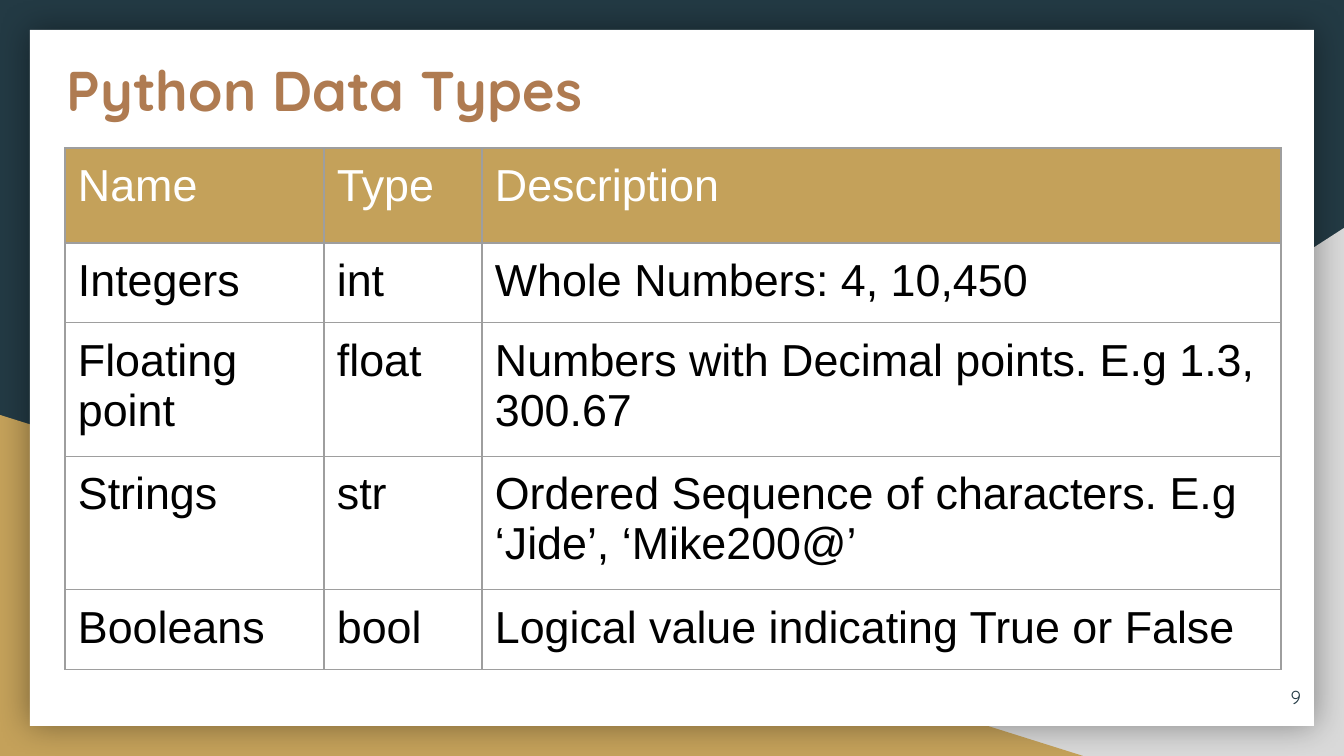
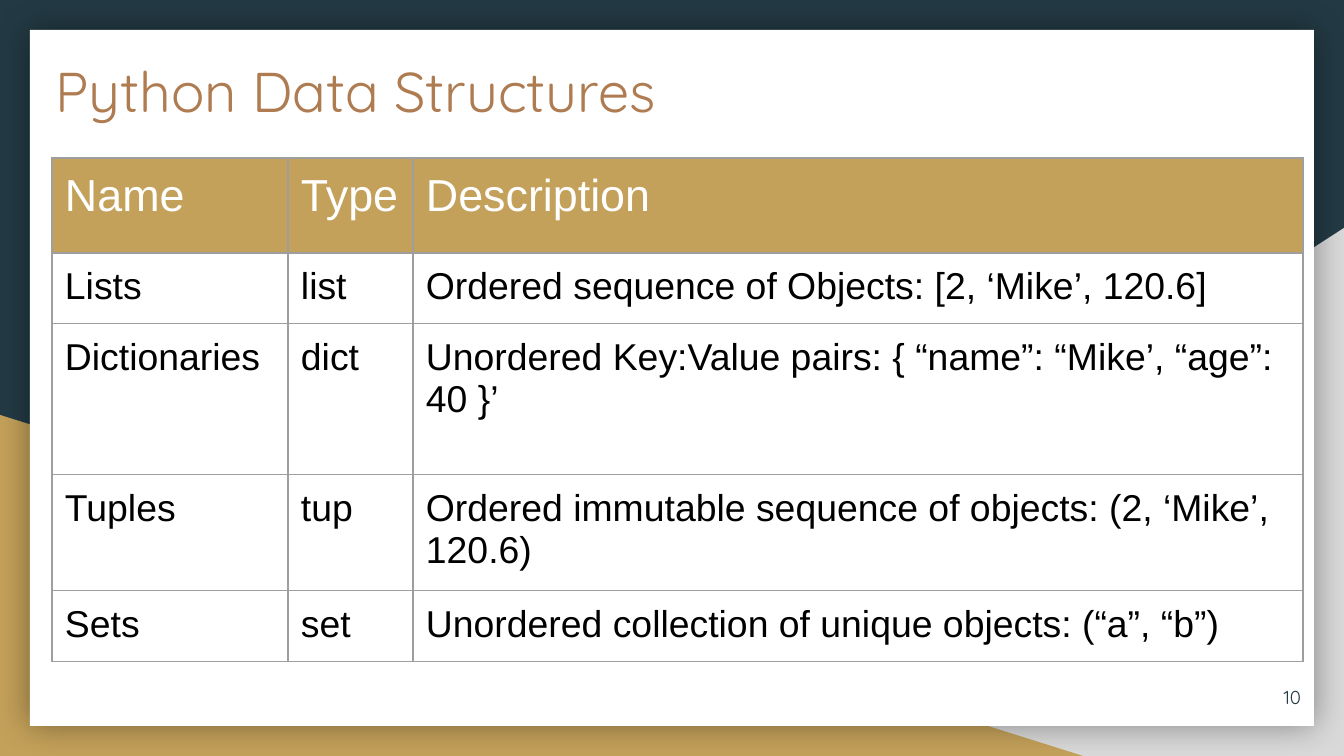
"""Build two slides with tables of Python data types and structures."""
from dataclasses import dataclass

from lxml import etree
from pptx import Presentation
from pptx.dml.color import RGBColor
from pptx.enum.shapes import MSO_SHAPE
from pptx.enum.text import MSO_ANCHOR, PP_ALIGN
from pptx.oxml import parse_xml
from pptx.oxml.ns import qn
from pptx.util import Emu, Pt

WIDE, HIGH = 1344, 756
SCALE = 9144000 / WIDE
PAD = 13
BLANK = 6
TRI = MSO_SHAPE.RIGHT_TRIANGLE
RECT = MSO_SHAPE.RECTANGLE
TOP = MSO_ANCHOR.TOP
MIDDLE = MSO_ANCHOR.MIDDLE
LEFT = PP_ALIGN.LEFT
RIGHT = PP_ALIGN.RIGHT
NS = 'xmlns:a="http://schemas.openxmlformats.org/drawingml/2006/main"'


@dataclass(frozen=True)
class Theme:
    navy: str = "233A44"
    gold: str = "C4A15A"
    gray: str = "D9D9D9"
    white: str = "FFFFFF"
    black: str = "000000"
    brown: str = "AF7B51"
    rule: str = "9E9E9E"
    brand: str = "Quicksand"
    plain: str = "Arial"
    title: int = 30
    head: int = 24
    page: int = 10


THEME = Theme()
HEADS = ("Name", "Type", "Description")
TYPES = (
    ("Integers", "int", "Whole Numbers: 4, 10,450"),
    ("Floating point", "float", "Numbers with Decimal points. E.g 1.3, 300.67"),
    ("Strings", "str", "Ordered Sequence of characters. E.g ‘Jide’, ‘Mike200@’"),
    ("Booleans", "bool", "Logical value indicating True or False"),
)
GROUPS = (
    ("Lists", "list", "Ordered sequence of Objects: [2, ‘Mike’, 120.6]"),
    ("Dictionaries", "dict", "Unordered Key:Value pairs: { “name”: “Mike’, “age”: 40 }’"),
    ("Tuples", "tup", "Ordered immutable sequence of objects: (2, ‘Mike’, 120.6)"),
    ("Sets", "set", "Unordered collection of unique objects: (“a”, “b”)"),
)


def px(size):
    return Emu(round(size * SCALE))


def paint(fill, color):
    fill.solid()
    fill.fore_color.rgb = RGBColor.from_string(color)


def style(para, face, size, color, bold=False):
    font = para.font
    font.name, font.size, font.bold = face, Pt(size), bold
    font.color.rgb = RGBColor.from_string(color)


def inset(item):
    item.margin_left = item.margin_right = px(PAD)
    item.margin_top = item.margin_bottom = px(PAD)


def add_form(slide, kind, box, color):
    form = slide.shapes.add_shape(kind, *map(px, box))
    form.shadow.inherit = False
    form.line.fill.background()
    paint(form.fill, color)
    return form


def add_glow(form):
    glow = parse_xml(
        f'<a:outerShdw {NS} blurRad="{Pt(18)}" dist="0" dir="0" algn="ctr" rotWithShape="0">'
        f'<a:srgbClr val="{THEME.black}"><a:alpha val="40000"/></a:srgbClr></a:outerShdw>')
    form.element.spPr.find(qn("a:effectLst")).append(glow)


def add_frame(slide):
    wedge = add_form(slide, TRI, (527, 228, 817, 528), THEME.gray)
    wedge.element.spPr.find(qn("a:xfrm")).set("flipH", "1")
    add_form(slide, TRI, (0, 415, 1083, 341), THEME.gold)
    add_glow(add_form(slide, RECT, (30, 30, 1284, 696), THEME.white))


def add_text(slide, box, text, size, color, bold=False, align=LEFT, anchor=TOP):
    frame = slide.shapes.add_textbox(*map(px, box)).text_frame
    frame.word_wrap = True
    frame.vertical_anchor = anchor
    inset(frame)
    para = frame.paragraphs[0]
    para.text, para.alignment = text, align
    style(para, THEME.brand, size, color, bold)


def add_rules(cell):
    props = cell._tc.get_or_add_tcPr()
    for side in ("lnL", "lnR", "lnT", "lnB"):
        line = etree.SubElement(props, qn(f"a:{side}"), w=str(Pt(0.75)))
        fill = etree.SubElement(line, qn("a:solidFill"))
        etree.SubElement(fill, qn("a:srgbClr"), val=THEME.rule)


def fill_cell(cell, text, size, head):
    inset(cell)
    cell.text = text
    add_rules(cell)
    if head:
        paint(cell.fill, THEME.gold)
    else:
        cell.fill.background()
    color = THEME.white if head else THEME.black
    style(cell.text_frame.paragraphs[0], THEME.plain, size, color)


def add_grid(slide, left, top, cols, rows, data, size):
    lines = (HEADS, *data)
    box = (left, top, sum(cols), sum(rows))
    grid = slide.shapes.add_table(len(rows), len(cols), *map(px, box)).table
    grid.horz_banding = False
    for col, width in zip(grid.columns, cols):
        col.width = px(width)
    for y, (row, height) in enumerate(zip(grid.rows, rows)):
        row.height = px(height)
        for cell, text in zip(row.cells, lines[y]):
            fill_cell(cell, text, size if y else THEME.head, y == 0)


def add_page(deck, title, spot, bold, page):
    slide = deck.slides.add_slide(deck.slide_layouts[BLANK])
    add_frame(slide)
    add_text(slide, (*spot, 1103, 102), title, THEME.title, THEME.brown, bold)
    add_text(slide, (1234, 668, 80, 58), page, THEME.page, THEME.navy,
             align=RIGHT, anchor=MIDDLE)
    return slide


def main():
    deck = Presentation()
    deck.slide_width, deck.slide_height = px(WIDE), px(HIGH)
    paint(deck.slide_master.background.fill, THEME.navy)
    slide = add_page(deck, "Python Data Types", (53, 43), True, "9")
    add_grid(slide, 65, 148, (259, 158, 799), (95, 77, 126, 126, 77), TYPES, 24)
    slide = add_page(deck, "Python Data Structures", (42, 44), False, "10")
    add_grid(slide, 52, 158, (236, 125, 890), (95, 69, 151, 110, 69), GROUPS, 20)
    deck.save("out.pptx")


if __name__ == "__main__":
    main()
